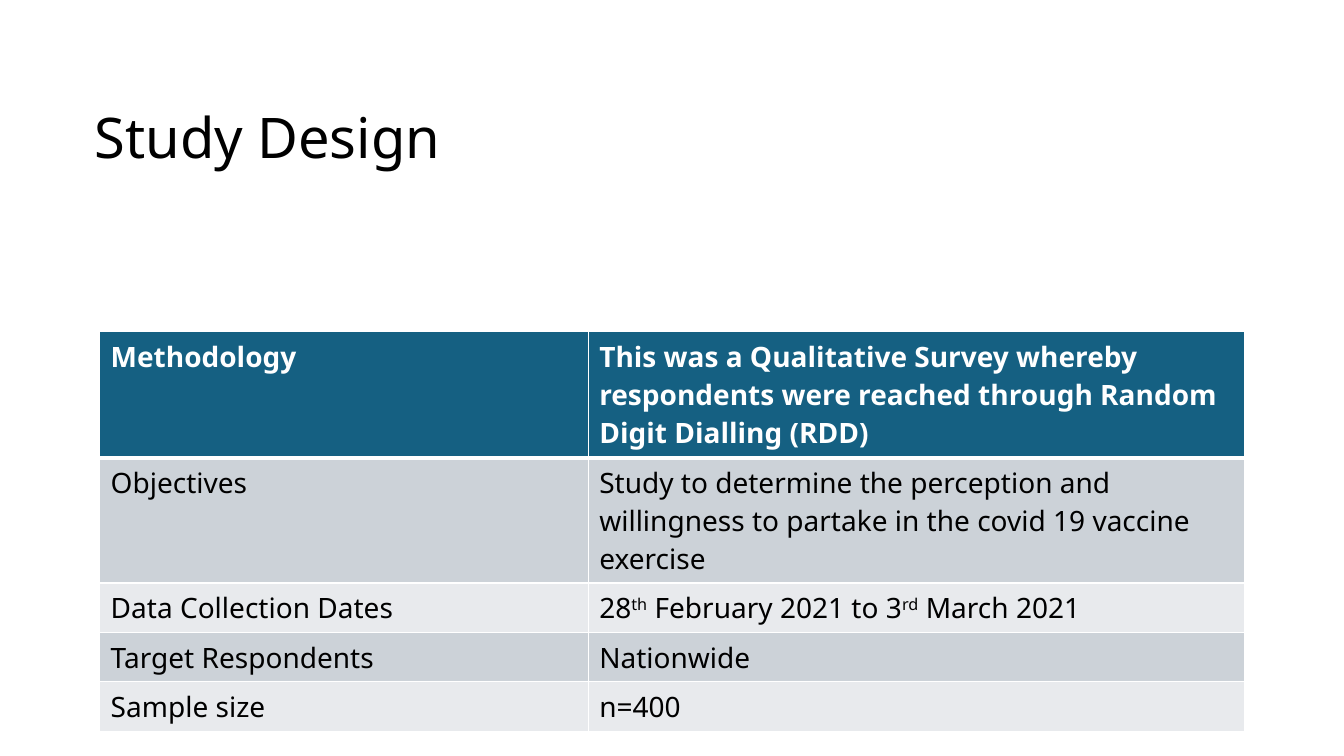
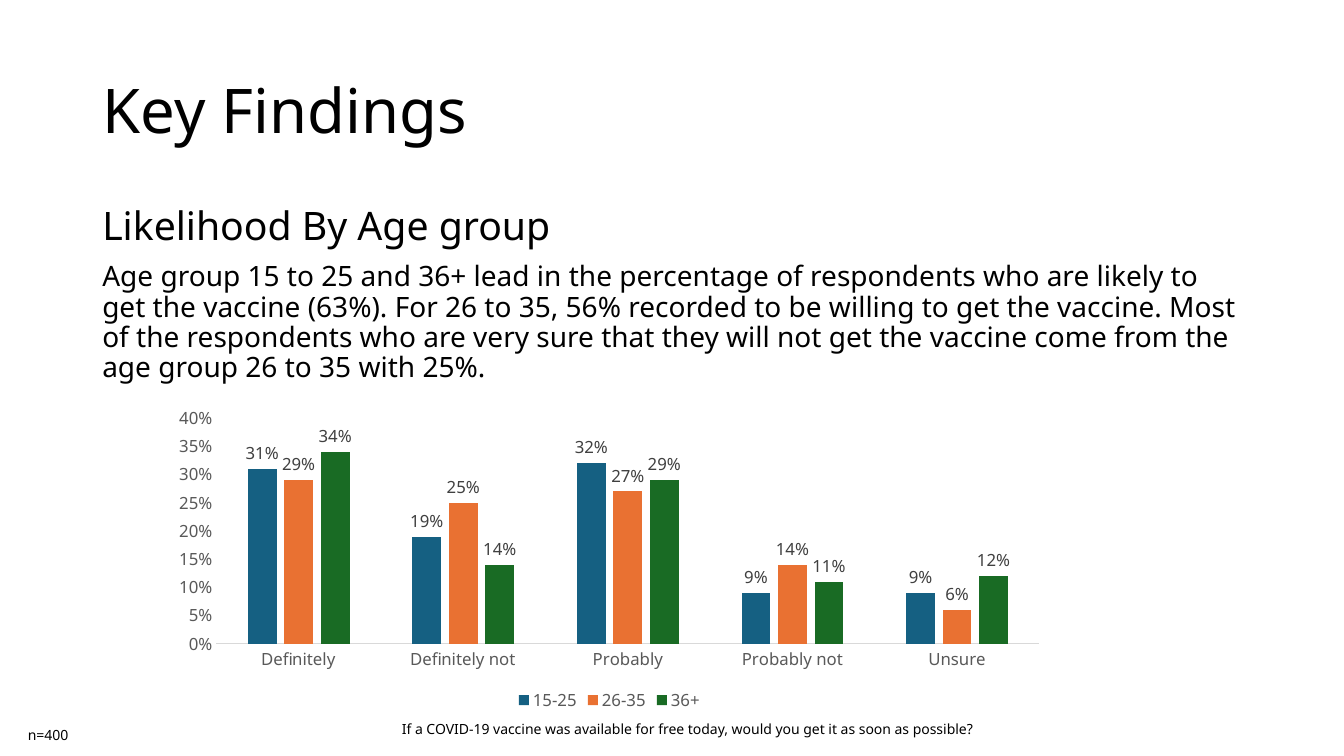
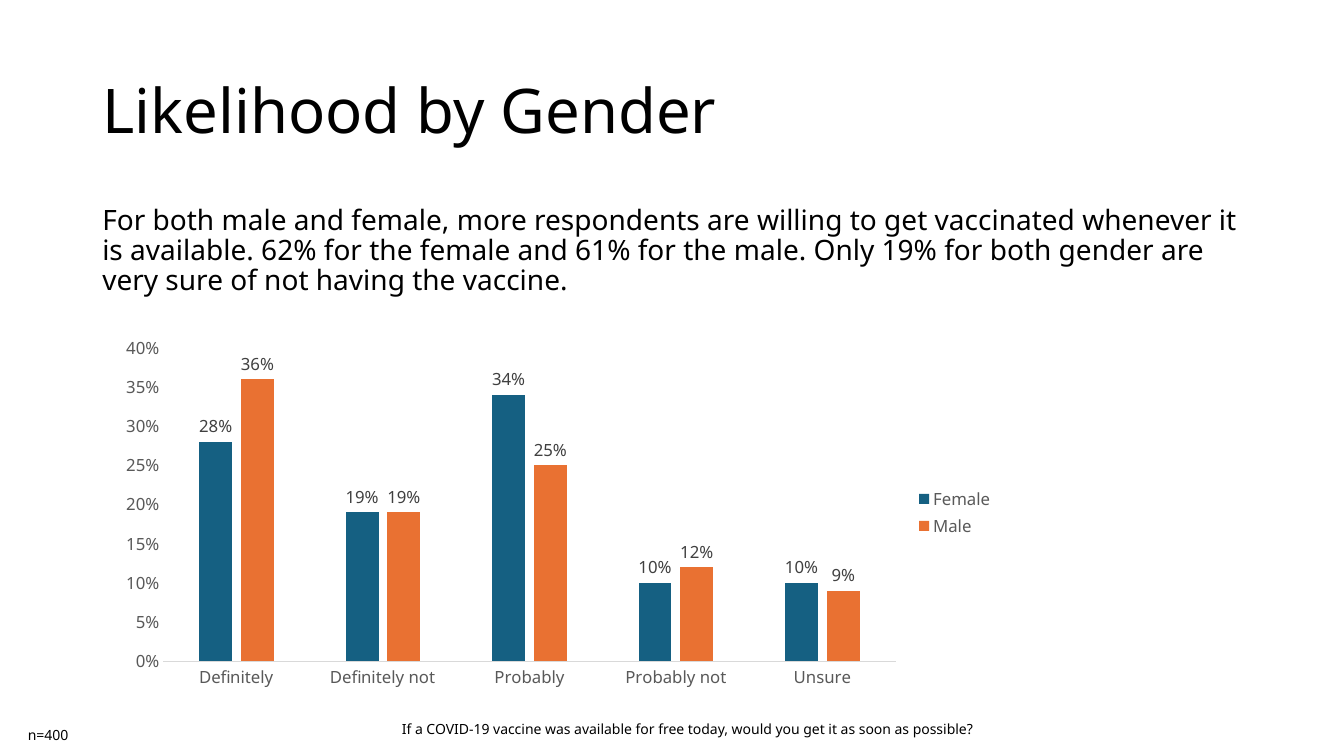
from pptx import Presentation
from pptx.chart.data import CategoryChartData
from pptx.dml.color import RGBColor
from pptx.enum.chart import XL_CHART_TYPE as ChartType
from pptx.enum.chart import XL_LABEL_POSITION as LabelPosition
from pptx.enum.chart import XL_LEGEND_POSITION as LegendPosition
from pptx.enum.chart import XL_TICK_MARK as TickMark
from pptx.enum.shapes import MSO_SHAPE as ShapeType
from pptx.enum.text import MSO_ANCHOR as Anchor
from pptx.oxml import parse_xml
from pptx.oxml.ns import nsdecls
from pptx.util import Pt

FONT = "Noto Sans"
BLACK, WHITE, AXIS_GREY, LABEL_GREY, LINE_GREY = "000000", "FFFFFF", "595959", "404040", "D9D9D9"
BLUE, ORANGE, GREEN = "156082", "E97132", "196B24"
BANDS = ["CCD2D8", "E8EAED"]
color = RGBColor.from_string

TITLE_AREA = (66.2, 29, 828, 104.4)
BODY_AREA = (66, 143.8, 828, 342)
FOOTERS = [
    ("n=400", (12.8, 515.5, 53.3, 19.4)),
    ("If a COVID-19 vaccine was available for free today, would you get it as soon as possible?",
     (280, 511.2, 462.2, 19.4)),
]
ANSWERS = ["Definitely", "Definitely not", "Probably", "Probably not", "Unsure"]


def write(paragraph, text, size=20, ink=BLACK, bold=False, line_spacing=None, space_before=None):
    paragraph.line_spacing = line_spacing
    if space_before is not None:
        paragraph.space_before = Pt(space_before)
    for index, piece in enumerate(text.split("^")):
        run = paragraph.add_run()
        run.text = piece
        run.font.name = FONT
        run.font.size = Pt(size)
        run.font.bold = bold
        run.font.color.rgb = color(ink)
        if index % 2:
            run.font._element.set("baseline", "30000")


def add_text(slide, area, *lines, anchor=Anchor.TOP, **layout):
    frame = slide.shapes.add_textbox(*map(Pt, area)).text_frame
    frame.word_wrap = True
    frame.vertical_anchor = anchor
    for index, (text, size) in enumerate(lines):
        paragraph = frame.add_paragraph() if index else frame.paragraphs[0]
        write(paragraph, text, size=size, **layout)


presentation = Presentation()
presentation.slide_width, presentation.slide_height = Pt(960), Pt(540)
blank = presentation.slide_layouts[6]

slide = presentation.slides.add_slide(blank)
title_band = slide.shapes.add_shape(ShapeType.RECTANGLE, Pt(0), Pt(0), Pt(960), Pt(200))
title_band.shadow.inherit = False
title_band.fill.solid()
title_band.fill.fore_color.rgb = color(WHITE)
title_band.line.fill.background()
add_text(slide, (60.5, 36.7, 785, 127.4), ("Study Design", 40), anchor=Anchor.MIDDLE, line_spacing=0.9)

study_rows = [
    ("Methodology",
     "This was a Qualitative Survey whereby respondents were reached through Random Digit Dialling (RDD)"),
    ("Objectives",
     "Study to determine the perception and willingness to partake in the covid 19 vaccine exercise"),
    ("Data Collection Dates", "28^th^ February 2021 to 3^rd^ March 2021"),
    ("Target Respondents", "Nationwide"),
    ("Sample size", "n=400"),
]
column_widths = [349, 468.4]
row_heights = [90, 89.6, 35.3, 35.3, 35.3]
table = slide.shapes.add_table(
    len(study_rows), 2, Pt(71.3), Pt(236.9), Pt(sum(column_widths)), Pt(sum(row_heights))).table
table.first_row = table.horz_banding = False
for column, width in zip(table.columns, column_widths):
    column.width = Pt(width)
for row_index, (row, height, texts) in enumerate(zip(table.rows, row_heights, study_rows)):
    row.height = Pt(height)
    header = row_index == 0
    borders = {"L": 1, "R": 1, "T": 3 if row_index == 1 else 1, "B": 3 if header else 1}
    for cell, text in zip(row.cells, texts):
        cell.margin_left = cell.margin_right = Pt(7.8)
        cell.margin_top = cell.margin_bottom = Pt(4)
        properties = cell._tc.get_or_add_tcPr()
        for side, width in borders.items():
            properties.append(parse_xml(
                f'<a:ln{side} {nsdecls("a")} w="{Pt(width)}"><a:solidFill>'
                f'<a:srgbClr val="{WHITE}"/></a:solidFill></a:ln{side}>'))
        cell.fill.solid()
        cell.fill.fore_color.rgb = color(BLUE if header else BANDS[(row_index - 1) % 2])
        write(cell.text_frame.paragraphs[0], text, ink=WHITE if header else BLACK, bold=header)

findings = [
    {
        "title": "Key Findings",
        "body": [
            ("Likelihood By Age group", 28),
            ("Age group 15 to 25 and 36+ lead in the percentage of respondents who are likely to get "
             "the vaccine (63%). For 26 to 35, 56% recorded to be willing to get the vaccine. Most of "
             "the respondents who are very sure that they will not get the vaccine come from the age "
             "group 26 to 35 with 25%.", 20),
        ],
        "area": (115.2, 285.8, 640, 225.4),
        "legend": LegendPosition.BOTTOM,
        "series": {
            "15-25": [0.31, 0.19, 0.32, 0.09, 0.09],
            "26-35": [0.29, 0.25, 0.27, 0.14, 0.06],
            "36+": [0.34, 0.14, 0.29, 0.11, 0.12],
        },
    },
    {
        "title": "Likelihood by Gender",
        "body": [
            ("For both male and female, more respondents are willing to get vaccinated whenever it is "
             "available. 62% for the female and 61% for the male. Only 19% for both gender are very "
             "sure of not having the vaccine.", 20),
        ],
        "area": (77.3, 235, 640, 262),
        "legend": LegendPosition.RIGHT,
        "series": {
            "Female": [0.28, 0.19, 0.34, 0.10, 0.10],
            "Male": [0.36, 0.19, 0.25, 0.12, 0.09],
        },
    },
]
for finding in findings:
    slide = presentation.slides.add_slide(blank)
    add_text(slide, TITLE_AREA, (finding["title"], 44), anchor=Anchor.MIDDLE, line_spacing=0.9)
    add_text(slide, BODY_AREA, *finding["body"], line_spacing=0.9, space_before=10)

    data = CategoryChartData(number_format="0%")
    data.categories = ANSWERS
    for name, values in finding["series"].items():
        data.add_series(name, values)
    chart = slide.shapes.add_chart(
        ChartType.COLUMN_CLUSTERED, *map(Pt, finding["area"]), data).chart
    chart.has_title = False
    chart.font.name = FONT
    chart.font.size = Pt(12)
    chart.font.color.rgb = color(AXIS_GREY)
    chart.has_legend = True
    chart.legend.position = finding["legend"]
    chart.legend.include_in_layout = False

    for axis in (chart.category_axis, chart.value_axis):
        axis.major_tick_mark = axis.minor_tick_mark = TickMark.NONE
        axis.has_major_gridlines = False
    chart.category_axis.format.line.color.rgb = color(LINE_GREY)
    chart.category_axis.format.line.width = Pt(0.75)
    value_axis = chart.value_axis
    value_axis.format.line.fill.background()
    value_axis.minimum_scale, value_axis.maximum_scale, value_axis.major_unit = 0, 0.4, 0.05
    value_axis.tick_labels.number_format = "0%"
    value_axis.tick_labels.number_format_is_linked = False

    plot = chart.plots[0]
    plot.vary_by_categories = False
    plot.gap_width, plot.overlap = 219, -27
    for series, fill in zip(plot.series, [BLUE, ORANGE, GREEN]):
        series.format.fill.solid()
        series.format.fill.fore_color.rgb = color(fill)
        labels = series.data_labels
        labels.show_value = True
        labels.position = LabelPosition.OUTSIDE_END
        labels.number_format = "0%"
        labels.number_format_is_linked = False
        labels.font.name = FONT
        labels.font.size = Pt(12)
        labels.font.color.rgb = color(LABEL_GREY)

    for text, area in FOOTERS:
        add_text(slide, area, (text, 10))

presentation.save("out.pptx")
